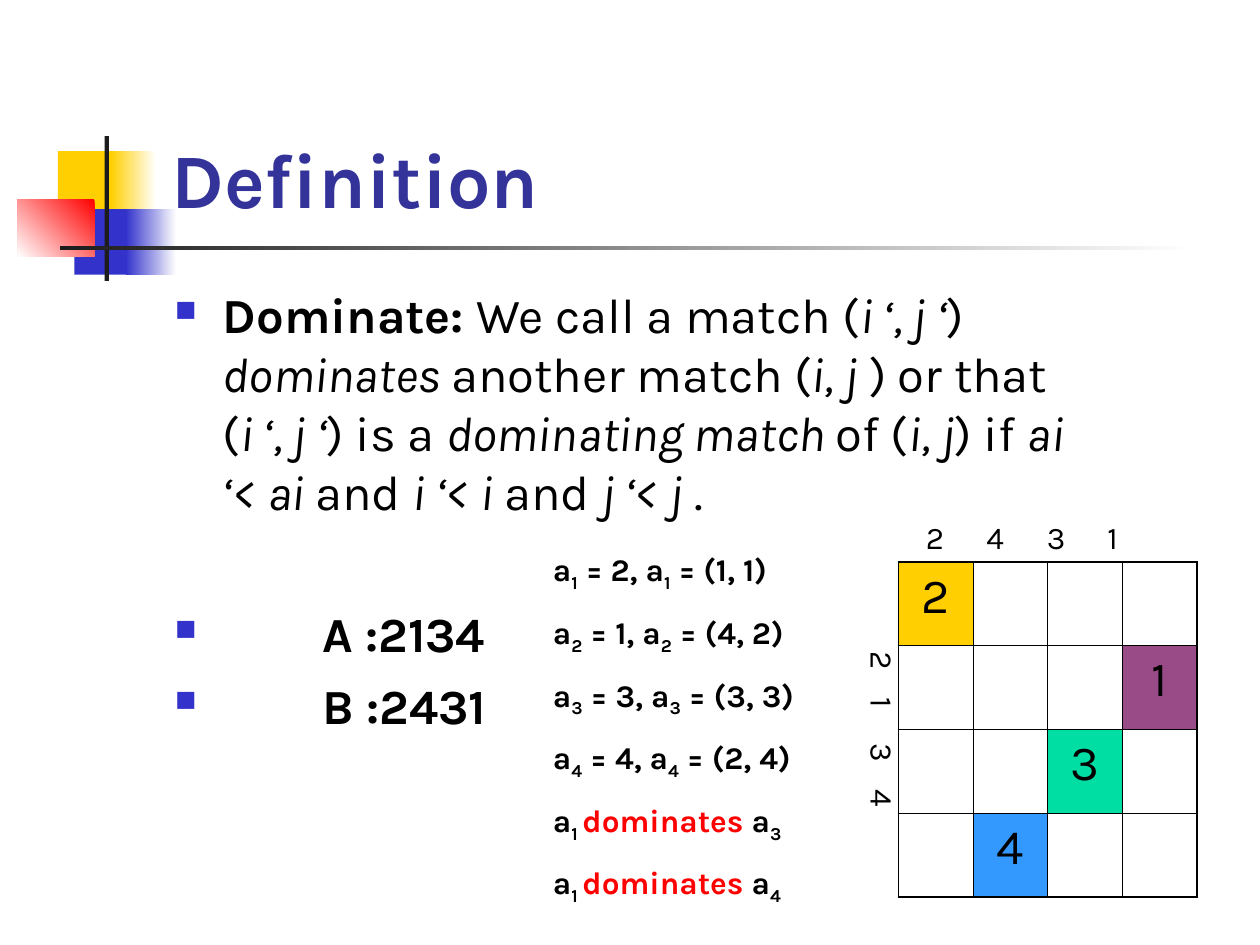
from pptx import Presentation, util as u
from pptx.dml.color import RGBColor
from pptx.enum import shapes, text
from pptx.oxml.ns import qn
from lxml import etree

FONT = "Karla"
COLS, ROWS = 100, 75

BLACK = RGBColor(0x00, 0x00, 0x00)
WHITE = RGBColor(0xFF, 0xFF, 0xFF)
CHARCOAL = RGBColor(0x1C, 0x1C, 0x1C)
NAVY = RGBColor(0x33, 0x33, 0x99)
BLUE = RGBColor(0x33, 0x33, 0xCC)
YELLOW = RGBColor(0xFF, 0xCF, 0x01)
RED = RGBColor(0xFF, 0x00, 0x00)
PURPLE = RGBColor(0x99, 0x4B, 0x88)
GREEN = RGBColor(0x00, 0xDE, 0xA4)
SKY = RGBColor(0x33, 0x99, 0xFF)


def child(parent, tag, **attrs):
    el = etree.SubElement(parent, qn(tag))
    for key, value in attrs.items():
        el.set(key, str(value))
    return el


class Deck:
    """Draws on the current slide; boxes are (column, row, columns, rows)."""

    def __init__(self):
        self.prs = Presentation()
        self.prs.slide_width, self.prs.slide_height = u.Inches(10), u.Inches(7.5)
        self.s = self.prs.slides.add_slide(self.prs.slide_layouts[5])

    def x(self, cols):
        return round(self.prs.slide_width * cols / COLS)

    def y(self, rows):
        return round(self.prs.slide_height * rows / ROWS)

    def place(self, box):
        left, top, width, height = box
        return self.x(left), self.y(top), self.x(width), self.y(height)

    def block(self, box, color, end=None, angle=0):
        """Plain rectangle, or a gradient from color to end."""
        sp = self.s.shapes.add_shape(shapes.MSO_SHAPE.RECTANGLE, *self.place(box))
        sp.shadow.inherit = False
        sp.line.fill.background()
        if end is None:
            sp.fill.solid()
            sp.fill.fore_color.rgb = color
        else:
            sp.fill.gradient()
            sp.fill.gradient_angle = angle
            for stop, rgb in zip(sp.fill.gradient_stops, (color, end)):
                stop.color.rgb = rgb

    def run(self, p, words, size, color=BLACK, bold=False, italic=False, sub=False):
        r = p.add_run()
        r.text = words
        r.font.name, r.font.size = FONT, u.Pt(size)
        r.font.bold, r.font.italic = bold, italic
        r.font.color.rgb = color
        if sub:
            r.font._element.set("baseline", "-25000")

    def title(self, box, words):
        sp = self.s.shapes.title
        sp.left, sp.top, sp.width, sp.height = self.place(box)
        tf = sp.text_frame
        tf.auto_size = text.MSO_AUTO_SIZE.NONE
        tf.vertical_anchor = text.MSO_ANCHOR.BOTTOM
        p = tf.paragraphs[0]
        p.alignment = text.PP_ALIGN.LEFT
        self.run(p, words, 44, NAVY, bold=True)

    def text_box(self, box):
        tf = self.s.shapes.add_textbox(*self.place(box)).text_frame
        tf.word_wrap = True
        return tf

    def paragraphs(self, box, size, items, gap, bullet_color=None):
        """Items are (runs, hanging indent in columns, extra space before)."""
        tf = self.text_box(box)
        for n, (runs, hang, extra) in enumerate(items):
            p = tf.add_paragraph() if n else tf.paragraphs[0]
            if bullet_color is not None:
                pPr = p._p.get_or_add_pPr()
                pPr.set("marL", str(self.x(hang)))
                pPr.set("indent", str(-self.x(hang)))
                child(child(pPr, "a:buClr"), "a:srgbClr", val=bullet_color)
                child(pPr, "a:buSzPct", val=60000)
                child(pPr, "a:buChar", char="■")
            if n:
                p.space_before = u.Pt(gap + extra)
            for words, style in runs:
                self.run(p, words, size, **style)

    def axis_labels(self, box, labels, first, step, vertical=False):
        """One line of labels on evenly spaced tab stops."""
        tf = self.text_box(box)
        if vertical:
            tf._txBody.bodyPr.set("vert", "eaVert")
            tf.margin_left = tf.margin_right = u.Inches(0.05)
            tf.margin_top = tf.margin_bottom = u.Inches(0.1)
        p = tf.paragraphs[0]
        tabs = child(p._p.get_or_add_pPr(), "a:tabLst")
        for n in range(len(labels)):
            child(tabs, "a:tab", pos=self.x(first + n * step), algn="l")
        self.run(p, "".join("\t" + label for label in labels), 18)

    def matrix(self, box, size, marks):
        """Square table; marks maps (row, column) to (label, fill)."""
        frame = self.s.shapes.add_table(size, size, *self.place(box))
        table = frame.table
        table.first_row = table.horz_banding = False
        last = size - 1
        for i in range(size):
            for j in range(size):
                cell = table.cell(i, j)
                outer = {"L": j == 0, "R": j == last, "T": i == 0, "B": i == last}
                for side, thick in outer.items():
                    self.border(cell, side, 1.08 if thick else 0.45)
                label, color = marks.get((i, j), ("", None))
                if color is None:
                    cell.fill.background()
                    continue
                cell.fill.solid()
                cell.fill.fore_color.rgb = color
                p = cell.text_frame.paragraphs[0]
                p.alignment = text.PP_ALIGN.CENTER
                self.run(p, label, 28)

    def border(self, cell, side, width):
        ln = child(cell._tc.get_or_add_tcPr(), "a:ln" + side, w=u.Pt(width))
        child(child(ln, "a:solidFill"), "a:srgbClr", val=BLACK)


def main():
    deck = Deck()

    deck.block((4.6, 12, 4.8, 5.2), YELLOW)
    deck.block((8.8, 12, 3.6, 5.2), WHITE, YELLOW, 180)
    deck.block((5.9, 16.6, 4.6, 5.2), BLUE)
    deck.block((10, 16.6, 4, 5.2), WHITE, BLUE, 180)
    deck.block((1.4, 15.8, 6.1, 4.6), RED, WHITE, 225)
    deck.block((8.3, 10.8, 0.35, 11.5), CHARCOAL)
    deck.block((4.8, 19.5, 90, 0.35), WHITE, CHARCOAL, 180)
    deck.title((12.6, 2.3, 85.2, 16), "Definition")

    plain, bold, italic, sub = {}, {"bold": True}, {"italic": True}, {"bold": True, "sub": True}
    definition = [
        ("Dominate: ", bold), ("We call a match (", plain), ("i ‘, j ‘", italic),
        (") ", plain), ("dominates ", italic), ("another match (", plain),
        ("i, j ", italic), (") or that (", plain), ("i ‘, j ‘", italic),
        (") is a ", plain), ("dominating match ", italic), ("of (", plain),
        ("i, j", italic), (") if ", plain), ("ai ‘< ai ", italic), ("and ", plain),
        ("i ‘< i ", italic), ("and ", plain), ("j ‘< j ", italic), (".", plain),
    ]
    deck.paragraphs((12.9, 22.1, 73.3, 48.5), 28, [
        (definition, 3.8, 0),
        ([("A :2134", bold)], 11.7, 41),
        ([("B :2431", bold)], 11.7, 0),
    ], gap=7, bullet_color=BLUE)

    deck.matrix((71.3, 44.6, 23.7, 26.6), 4, {
        (0, 0): ("2", YELLOW), (1, 3): ("1", PURPLE),
        (2, 2): ("3", GREEN), (3, 1): ("4", SKY),
    })
    deck.axis_labels((71.3, 40.6, 27.6, 4), "2431", 1.2, 4.8)
    deck.axis_labels((67.1, 44.6, 5, 25.2), "2134", 6.1, 3.65, vertical=True)

    matches = [("1", "2", "(1, 1)"), ("2", "1", "(4, 2)"),
               ("3", "3", "(3, 3)"), ("4", "4", "(2, 4)")]
    lines = [[("a", bold), (n, sub), (f" = {value}, a", bold), (n, sub), (f" = {pair}", bold)]
             for n, value, pair in matches]
    lines += [[("a", bold), ("1 ", sub), ("dominates", {"bold": True, "color": RED}),
               (" a", bold), (n, sub)] for n in "34"]
    deck.paragraphs((42.9, 43.2, 26.8, 29.3), 18, [(runs, 0, 0) for runs in lines], gap=11.2)

    deck.prs.save("out.pptx")


if __name__ == "__main__":
    main()
